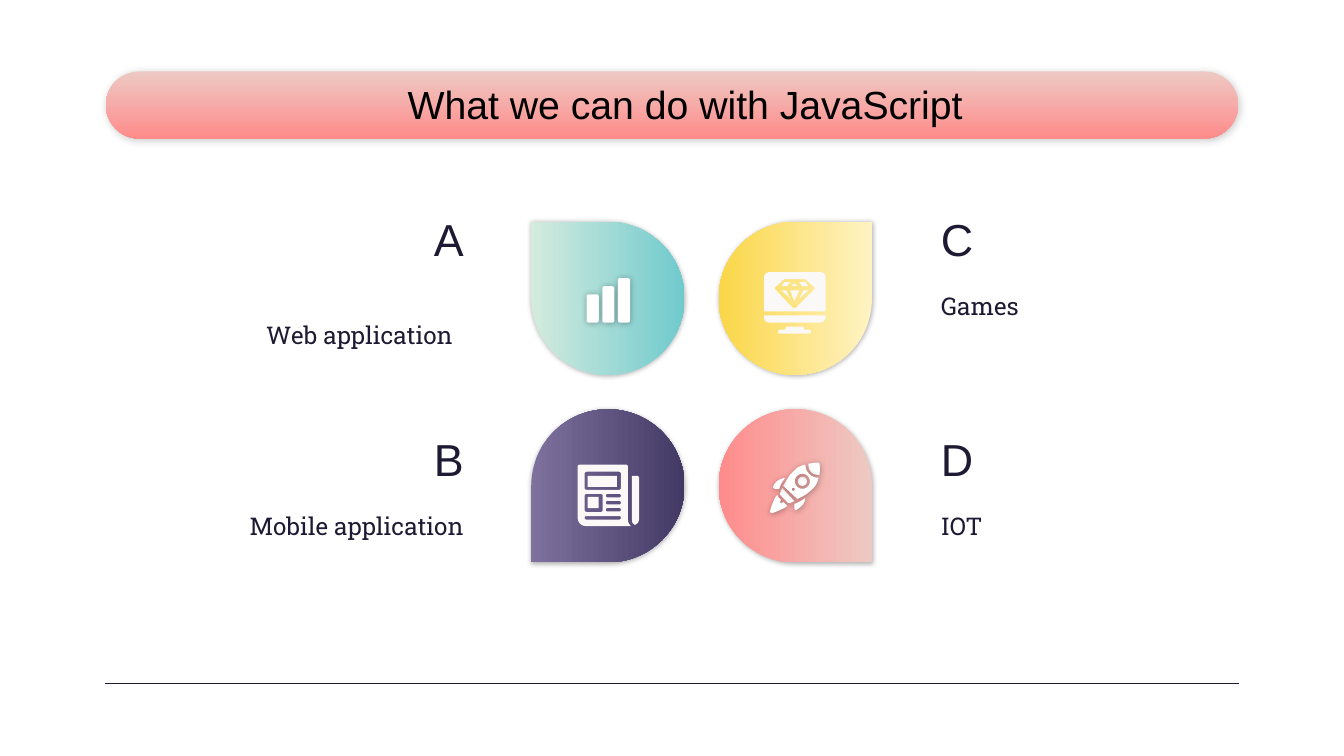
from lxml import etree
from pptx import Presentation
from pptx import util as u
from pptx.dml.color import RGBColor
from pptx.enum import shapes, text
from pptx.oxml.ns import qn

WIDTH, HEIGHT = u.Inches(13.33), u.Inches(7.5)
COLS, ROWS = 160, 90
CELL = 0.12  # icon cell, in columns
COLORS = {
    "ink": "1F1A33", "black": "000000", "white": "FFFFFF", "paper": "FBF8F8",
    "blush": "EEC9C3", "coral": "FF8C8C", "mint": "D4EBDE", "teal": "70CACD",
    "cream": "FFF3C4", "yellow": "FAD647", "lilac": "7E719E", "violet": "423A64",
}


def col(n):
    return round(WIDTH * n / COLS)


def row(n):
    return round(HEIGHT * n / ROWS)


def rgb(name):
    return RGBColor.from_string(COLORS[name])


def cast_shadow(shape, alpha, blur):
    shape.shadow.inherit = False
    effects = shape._element.spPr.find(qn("a:effectLst"))
    outer = etree.SubElement(effects, qn("a:outerShdw"), blurRad=str(u.Pt(blur)),
                             dist=str(u.Pt(0.8)), dir="3960000",
                             algn="bl", rotWithShape="0")
    tint = etree.SubElement(outer, qn("a:srgbClr"), val=COLORS["black"])
    etree.SubElement(tint, qn("a:alpha"), val=str(alpha * 1000))


def add_gradient(slide, preset, place, start, end, adjust, alpha, blur, rotation=0, flip=False):
    left, top, width, height = place
    shape = slide.shapes.add_shape(preset, col(left), row(top), col(width), row(height))
    shape.adjustments[0] = adjust
    shape.rotation = rotation
    if flip:
        shape._element.spPr.find(qn("a:xfrm")).set("flipH", "1")
    shape.fill.gradient()
    shape.fill.gradient_angle = 270
    for stop, color in zip(shape.fill.gradient_stops, (start, end)):
        stop.color.rgb = rgb(color)
    shape.line.fill.background()
    cast_shadow(shape, alpha, blur)


def add_text(slide, words, place, size=17.4, font="Roboto Slab", color="ink",
             align=text.PP_ALIGN.LEFT, anchor=text.MSO_ANCHOR.TOP, pad=1.6, after=0):
    left, top, width, height = place
    frame = slide.shapes.add_textbox(col(left), row(top), col(width), row(height)).text_frame
    frame.word_wrap = True
    frame.vertical_anchor = anchor
    frame.margin_left = frame.margin_right = col(1.6)
    frame.margin_top = frame.margin_bottom = row(pad)
    line = frame.paragraphs[0]
    line.alignment = align
    line.space_after = u.Pt(after)
    run = line.add_run()
    run.text = words
    run.font.size, run.font.name = u.Pt(size), font
    run.font.color.rgb = rgb(color)


# Contours: pairs are corners, sextets are cubic curves
def rounded(left, top, width, height, r):
    right, bottom, k = left + width, top + height, r * 0.45
    return [(left + r, top), (right - r, top),
            (right - k, top, right, top + k, right, top + r), (right, bottom - r),
            (right, bottom - k, right - k, bottom, right - r, bottom), (left + r, bottom),
            (left + k, bottom, left, bottom - k, left, bottom - r), (left, top + r),
            (left, top + k, left + k, top, left + r, top)]


def circle(x, y, r):
    return rounded(x - r, y - r, 2 * r, 2 * r, r)


def trace(contour, left, top, steps=6):
    points = []
    for node in contour:
        if len(node) == 2:
            points.append(node)
            continue
        knots = [points[-1], node[:2], node[2:4], node[4:]]
        for t in (i / steps for i in range(1, steps + 1)):
            weights = ((1 - t) ** 3, 3 * t * (1 - t) ** 2, 3 * t * t * (1 - t), t ** 3)
            points.append(tuple(sum(w * k[axis] for w, k in zip(weights, knots))
                                for axis in (0, 1)))
    return [(col(left + x * CELL), row(top + y * CELL)) for x, y in points]


def add_icon(slide, parts, left, top, color, shadow):
    for contours in parts:
        outlines = [trace(contour, left, top) for contour in contours]
        builder = slide.shapes.build_freeform(*outlines[0][0])
        for number, points in enumerate(outlines):
            if number:
                builder.move_to(*points[0])
            builder.add_line_segments(points[1:], close=True)
        part = builder.convert_to_shape()
        part.fill.solid()
        part.fill.fore_color.rgb = rgb(color)
        part.line.fill.background()
        if shadow:
            cast_shadow(part, 31, 4.5)
        else:
            part.shadow.inherit = False


BARS = [[rounded(15.5 * i, 16 - 8 * i, 12, 28 + 8 * i, 2)] for i in range(3)]

ROCKET = [
    [[(12, 25), (10, 30), (10, 32), (18, 40), (20, 40), (24, 38)]],
    [[(46, 0), (43, 0, 40, 1, 38, 1), (38, 3), (38, 8, 42, 12, 47, 12), (49, 12),
      (49, 9, 50, 6, 49, 2), (49, 1, 49, 0, 48, 0)]],
    [circle(32, 18.5, 4.5)],
    [[(35, 2), (30, 3, 26, 5, 23, 9), (19, 12, 16, 18, 13, 23), (27, 36),
      (32, 34, 37, 31, 41, 27), (45, 24, 47, 20, 48, 15), (47, 15), (41, 15, 35, 9, 35, 3)],
     circle(32, 18.5, 7.5), circle(23, 26.5, 1.5)],
    [[(35, 35), (31, 38, 27, 40, 24, 41), (24, 45), (24, 46, 25, 47, 25, 47), (26, 47),
      (26, 46, 34, 44, 35, 35)]],
    [[(15, 15), (6, 16, 3, 23, 3, 24), (3, 25), (5, 26), (9, 26), (10, 22, 12, 19, 15, 15)]],
    [[(7, 32), (4, 35, 1, 44, 0, 48), (0, 49), (1, 50), (2, 50), (6, 49, 15, 45, 17, 43),
      (16, 42), (13, 39), (12, 40), (10, 40), (10, 38), (11, 37), (8, 34)]],
]

NEWSPAPER = [
    [[(54, 11), (54, 54), (54, 56, 54, 58, 56, 59), (57, 60), (58, 59),
      (60, 58, 61, 56, 61, 54), (61, 13), (61, 12, 60, 11, 59, 11)]],
    [rounded(10, 32, 11, 11, 0)],
    [rounded(10, 11, 29, 11, 0)],
    [[(2, 0), (1, 0, 0, 1, 0, 2), (0, 52), (0, 57, 3, 61, 9, 61), (53, 61),
      (51, 59, 50, 57, 50, 54), (50, 2), (50, 1, 49, 0, 48, 0)],
     rounded(7, 7, 36, 18, 2), rounded(7, 29, 18, 18, 2), rounded(7, 51, 36, 3.5, 1.7),
     *[rounded(28, y, 15, 3.5, 1.7) for y in (29, 36, 43)]],
]

MONITOR = [
    [[(30, 11), (27, 14), (33, 14)]],
    [[(20, 10), (17, 14), (23, 14), (26, 10)]],
    [[(39, 18), (35, 26), (44, 18)]],
    [[(26, 18), (30, 29), (35, 18)]],
    [[(35, 10), (38, 14), (44, 14), (41, 10)]],
    [[(17, 18), (26, 26), (22, 18)]],
    [[(0, 43), (61, 43), (61, 45), (61, 48, 58, 50, 56, 50), (5, 50), (2, 50, 0, 48, 0, 45)]],
    [[(0, 39), (0, 5), (0, 2, 3, 0, 5, 0), (56, 0), (59, 0, 61, 2, 61, 5), (61, 39)],
     [(20, 7), (41, 7), (50, 15), (50, 17), (32, 35), (30, 36), (28, 35), (11, 17), (11, 15)]],
    [[(22, 54), (21, 57), (16, 57), (13, 57, 13, 61, 16, 61), (45, 61),
      (47, 61, 47, 57, 45, 57), (40, 57), (39, 54)]],
]


def main():
    deck = Presentation()
    deck.slide_width, deck.slide_height = WIDTH, HEIGHT
    slide = deck.slides.add_slide(deck.slide_layouts[6])
    preset = shapes.MSO_SHAPE

    # Title banner and footer rule
    add_gradient(slide, preset.ROUNDED_RECTANGLE, (12.6, 8.5, 134.8, 8), "blush", "coral",
                 0.5, 20, 5.6)
    rule = slide.shapes.add_connector(shapes.MSO_CONNECTOR.STRAIGHT,
                                      col(12.5), row(81.4), col(147.5), row(81.4))
    rule.line.color.rgb = rgb("ink")
    rule.line.width = u.Pt(0.75)
    etree.SubElement(rule._element.spPr, qn("a:effectLst"))
    add_text(slide, "What we can do with JavaScript", (40.1, 8.3, 82.9, 8), size=28, font="Arial",
             color="black", align=text.PP_ALIGN.CENTER, anchor=text.MSO_ANCHOR.MIDDLE)

    # Four petals around the centre
    petals = [(0, 0, "mint", "teal", 270, False), (1, 0, "cream", "yellow", 90, True),
              (1, 1, "blush", "coral", 90, False), (0, 1, "lilac", "violet", 270, True)]
    for across, down, start, end, rotation, flip in petals:
        place = (63.24 + 22.32 * across, 26.4 + 22.32 * down, 18.24, 18.24)
        add_gradient(slide, preset.TEAR, place, start, end, 1, 30, 3.4, rotation, flip)

    # Icons
    add_icon(slide, BARS, 69.84, 33.12, "white", True)
    add_icon(slide, ROCKET, 91.68, 55.08, "white", True)
    add_icon(slide, NEWSPAPER, 68.76, 55.32, "paper", False)
    add_icon(slide, MONITOR, 90.96, 32.4, "paper", False)

    # Letters and their uses
    left, right = text.PP_ALIGN.LEFT, text.PP_ALIGN.RIGHT
    uses = [("A", "Web application", 16.1, 25.2, (-0.4, 36.5, 55.9, 12.4), right, 0),
            ("B", "Mobile application", 16.1, 51.4, (16.1, 59.3, 40.7, 12.4), right, 16),
            ("C", "Games", 110.4, 25.2, (110.4, 33, 40.7, 12.4), left, 0),
            ("D", "IOT", 110.4, 51.4, (110.4, 59.3, 40.7, 12.4), left, 16)]
    for letter, use, x, y, place, align, after in uses:
        add_text(slide, letter, (x, y, 40.7, 7.8), size=32, font="Arial",
                 align=align, pad=0, after=16)
        add_text(slide, use, place, align=align, after=after)

    deck.save("out.pptx")


if __name__ == "__main__":
    main()
